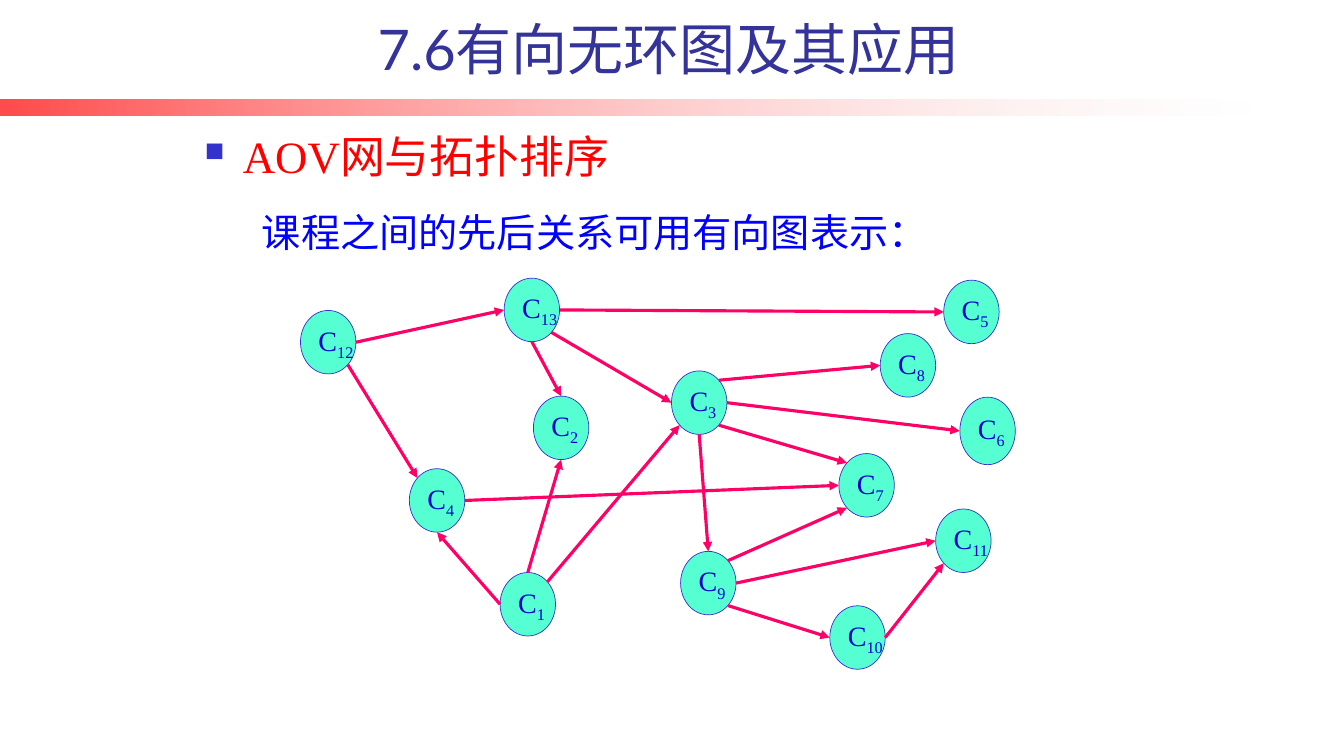
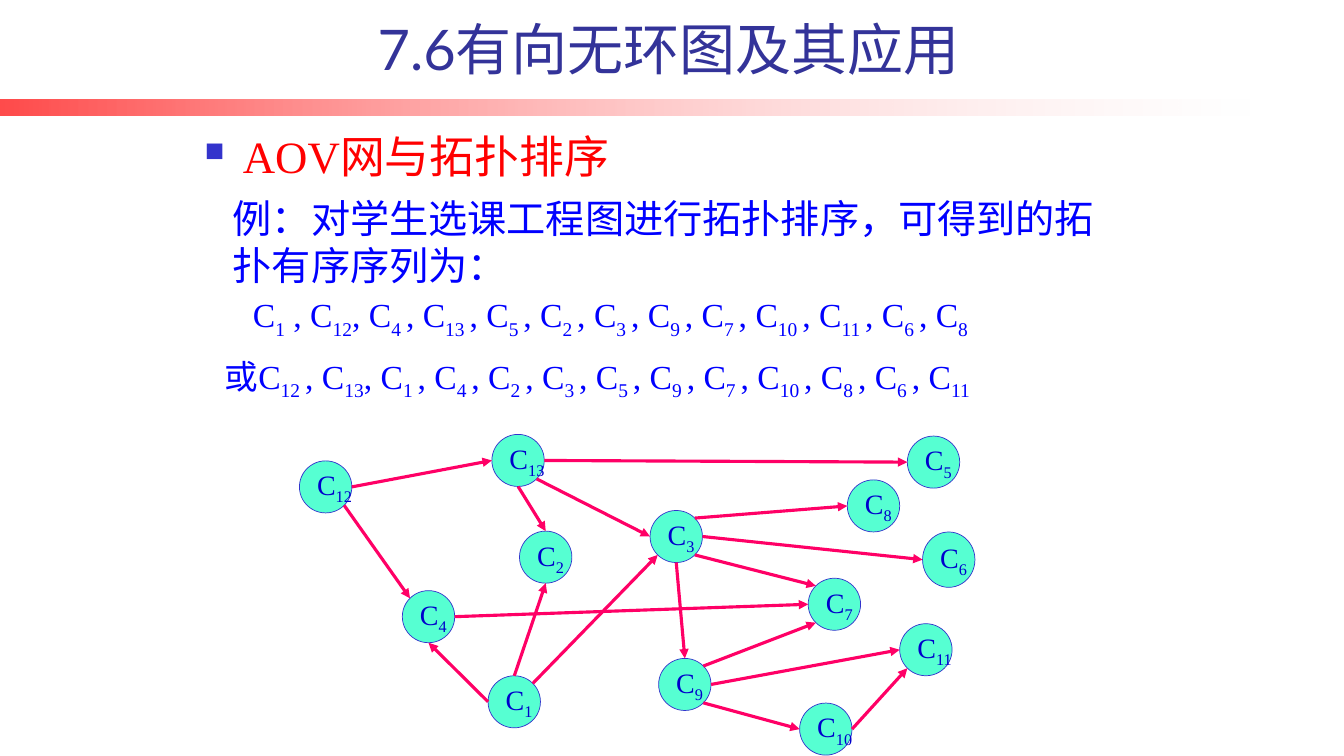
"""Build two slides on topological sorting of an activity-on-vertex network."""
from dataclasses import dataclass
from math import sqrt

from lxml.etree import SubElement
from pptx import Presentation
from pptx.dml.color import RGBColor
from pptx.enum.shapes import MSO_CONNECTOR, MSO_SHAPE
from pptx.enum.text import MSO_ANCHOR, MSO_AUTO_SIZE, PP_ALIGN
from pptx.oxml.ns import qn
from pptx.util import Inches, Pt


@dataclass(frozen=True)
class TextStyle:
    """Typeface, size and colour of one kind of text."""
    name: str
    points: int
    colour: str


@dataclass(frozen=True)
class Theme:
    """Colours and type styles shared by the slides."""
    title: TextStyle = TextStyle("Lato", 40, "333399")
    heading: TextStyle = TextStyle("Times New Roman", 32, "FF0000")
    caption: TextStyle = TextStyle("Lato", 28, "0000FF")
    example: TextStyle = TextStyle("Times New Roman", 28, "0000FF")
    sequence: TextStyle = TextStyle("Times New Roman", 24, "0000FF")
    node_label: TextStyle = TextStyle("Times New Roman", 20, "0000CC")
    node_fill: str = "56FFD2"
    node_line: str = "3333CC"
    bullet: str = "3333CC"
    arrow: str = "FF0066"
    band_stops: tuple = (("FF0000", 71), ("FFFFFF", 18))


THEME = Theme()
NODE_WIDTH, NODE_HEIGHT = 0.55, 0.63
TALL_NODES = {6: 0.67}
GRAPH_ORIGIN = (2.98, 2.76)
NODES = {
    1: (4.96, 5.68), 3: (6.66, 3.68), 4: (4.06, 4.65), 2: (5.29, 3.93),
    7: (8.32, 4.5), 6: (9.52, 3.94), 13: (5, 2.76), 8: (8.73, 3.31),
    9: (6.75, 5.47), 10: (8.23, 6.01), 12: (2.98, 3.08), 11: (9.28, 5.05),
    5: (9.36, 2.78),
}
DIAGONAL = sqrt(0.5)
SITES = {
    "top": (0, -1), "left": (-1, 0), "bottom": (0, 1), "right": (1, 0),
    "top left": (-DIAGONAL, -DIAGONAL), "top right": (DIAGONAL, -DIAGONAL),
    "bottom left": (-DIAGONAL, DIAGONAL), "bottom right": (DIAGONAL, DIAGONAL),
}
EDGES = (
    (12, "right", 13, "left"),
    (12, "bottom right", 4, "top left"),
    (1, "left", 4, "bottom"),
    (1, "top", 2, "bottom"),
    (4, "right", 7, "left"),
    (13, "right", 5, "left"),
    (13, "bottom", 2, "top"),
    (3, "bottom", 9, "top"),
    (3, "top right", 8, "left"),
    (3, "right", 6, "left"),
    (3, "bottom right", 7, "top left"),
    (9, "top right", 7, "bottom left"),
    (9, "bottom right", 10, "left"),
    (9, "right", 11, "left"),
    (10, "right", 11, "bottom left"),
    (1, "top right", 3, "bottom left"),
    (13, "bottom right", 3, "left"),
)
SEQUENCES = (
    ((2.41, 2.87, 8.06, 0.5),
     "C|1| , C|12|, C|4 |, C|13 |, C|5 |, C|2 |, C|3 |, C|9 |, C|7 |, C|10 |, C|11 |, C|6 |, C|8"),
    ((2.13, 3.48, 8.48, 0.5),
     "或C|12 |, C|13|, C|1 |, C|4 |, C|2 |, C|3 |, C|5 |, C|9 |, C|7 |, C|10 |, C|8 |, C|6 |, C|11"),
)


def apply(target, values):
    """Set each named attribute on the target."""
    for name, value in values.items():
        setattr(target, name, value)


def write(para, text, style):
    """Write text whose every second part, split at a bar, is a subscript."""
    for position, part in enumerate(text.split("|")):
        span = para.add_run()
        span.text = part
        apply(span.font, {"name": style.name, "size": Pt(style.points)})
        span.font.color.rgb = RGBColor.from_string(style.colour)
        if position % 2:
            span.font._element.set("baseline", "-25000")


def add_text(page, at, text, style, align=PP_ALIGN.LEFT, **frame_format):
    """Add a wrapping text box and return its paragraph."""
    box = page.shapes.add_textbox(*map(Inches, at))
    apply(box.text_frame, {"word_wrap": True, **frame_format})
    para = box.text_frame.paragraphs[0]
    para.alignment = align
    write(para, text, style)
    return para


def add_body(page, at, text, style):
    """Add a text box that grows with its text."""
    add_text(page, at, text, style, auto_size=MSO_AUTO_SIZE.SHAPE_TO_FIT_TEXT)


def add_bullet(para):
    """Give a paragraph a hanging square bullet."""
    properties = para._p.get_or_add_pPr()
    properties.set("marL", str(Inches(0.38)))
    properties.set("indent", str(-Inches(0.38)))
    colour = SubElement(properties, qn("a:buClr"))
    SubElement(colour, qn("a:srgbClr"), val=THEME.bullet)
    SubElement(properties, qn("a:buSzPct"), val="60000")
    SubElement(properties, qn("a:buChar"), char="■")


def add_band(page):
    """Add the fading band under the title."""
    band = page.shapes.add_shape(MSO_SHAPE.RECTANGLE, *map(Inches, (0, 0.99, 12.39, 0.16)))
    band.shadow.inherit = False
    band.line.fill.background()
    band.fill.gradient()
    band.fill.gradient_angle = 0
    for stop, (colour, opacity) in zip(band.fill.gradient_stops, THEME.band_stops):
        stop.color.rgb = RGBColor.from_string(colour)
        tint = stop._gs.find(qn("a:srgbClr"))
        SubElement(tint, qn("a:alpha"), val=str(opacity * 1000))


def add_page(deck):
    """Add a slide with the shared band, title and heading."""
    page = deck.slides.add_slide(deck.slide_layouts[6])
    add_band(page)
    add_text(page, (2.37, 0.15, 8.52, 0.71), "7.6有向无环图及其应用", THEME.title,
             PP_ALIGN.CENTER, vertical_anchor=MSO_ANCHOR.BOTTOM)
    heading = add_text(page, (1.93, 1.2, 4.88, 0.66), "AOV网与拓扑排序", THEME.heading,
                       vertical_anchor=MSO_ANCHOR.BOTTOM)
    add_bullet(heading)
    return page


def add_node(group, number, at):
    """Add one course as a labelled ellipse."""
    node = group.shapes.add_shape(MSO_SHAPE.OVAL, *map(Inches, at))
    node.shadow.inherit = False
    node.fill.solid()
    node.fill.fore_color.rgb = RGBColor.from_string(THEME.node_fill)
    node.line.color.rgb = RGBColor.from_string(THEME.node_line)
    node.line.width = Pt(0.5)
    apply(node.text_frame, {"word_wrap": False, "vertical_anchor": MSO_ANCHOR.MIDDLE})
    para = node.text_frame.paragraphs[0]
    para.alignment = PP_ALIGN.LEFT
    write(para, f"C|{number}", THEME.node_label)


def site_point(at, site):
    """Return the point of an ellipse's outline at a named site."""
    left, top, width, height = at
    across, down = SITES[site]
    return left + width * (1 + across) / 2, top + height * (1 + down) / 2


def add_arrow(group, start, end):
    """Add a straight arrow between two points."""
    arrow = group.shapes.add_connector(MSO_CONNECTOR.STRAIGHT, *map(Inches, start + end))
    arrow.line.color.rgb = RGBColor.from_string(THEME.arrow)
    arrow.line.width = Pt(2.25)
    SubElement(arrow.line._get_or_add_ln(), qn("a:tailEnd"), type="triangle")
    SubElement(arrow._element.spPr, qn("a:effectLst"))


def add_graph(page, origin=GRAPH_ORIGIN, scale=(1, 1)):
    """Add the course graph, moved to an origin and scaled."""
    group = page.shapes.add_group_shape()
    places = {}
    for number, (left, top) in NODES.items():
        places[number] = (
            origin[0] + (left - GRAPH_ORIGIN[0]) * scale[0],
            origin[1] + (top - GRAPH_ORIGIN[1]) * scale[1],
            NODE_WIDTH * scale[0],
            TALL_NODES.get(number, NODE_HEIGHT) * scale[1],
        )
        add_node(group, number, places[number])
    for first, leaving, second, entering in EDGES:
        add_arrow(group, site_point(places[first], leaving), site_point(places[second], entering))


def main():
    """Build and save the deck."""
    deck = Presentation()
    apply(deck, {"slide_width": Inches(13.33), "slide_height": Inches(7.5)})

    page = add_page(deck)
    add_body(page, (2.5, 2.02, 7.17, 0.57), "课程之间的先后关系可用有向图表示：", THEME.caption)
    add_graph(page)

    page = add_page(deck)
    add_body(page, (2.21, 1.88, 8.82, 1.04),
             "例：对学生选课工程图进行拓扑排序，可得到的拓扑有序序列为：", THEME.example)
    add_graph(page, origin=(2.97, 4.31), scale=(0.945, 0.82))
    for at, text in SEQUENCES:
        add_body(page, at, text, THEME.sequence)

    deck.save("out.pptx")


if __name__ == "__main__":
    main()
